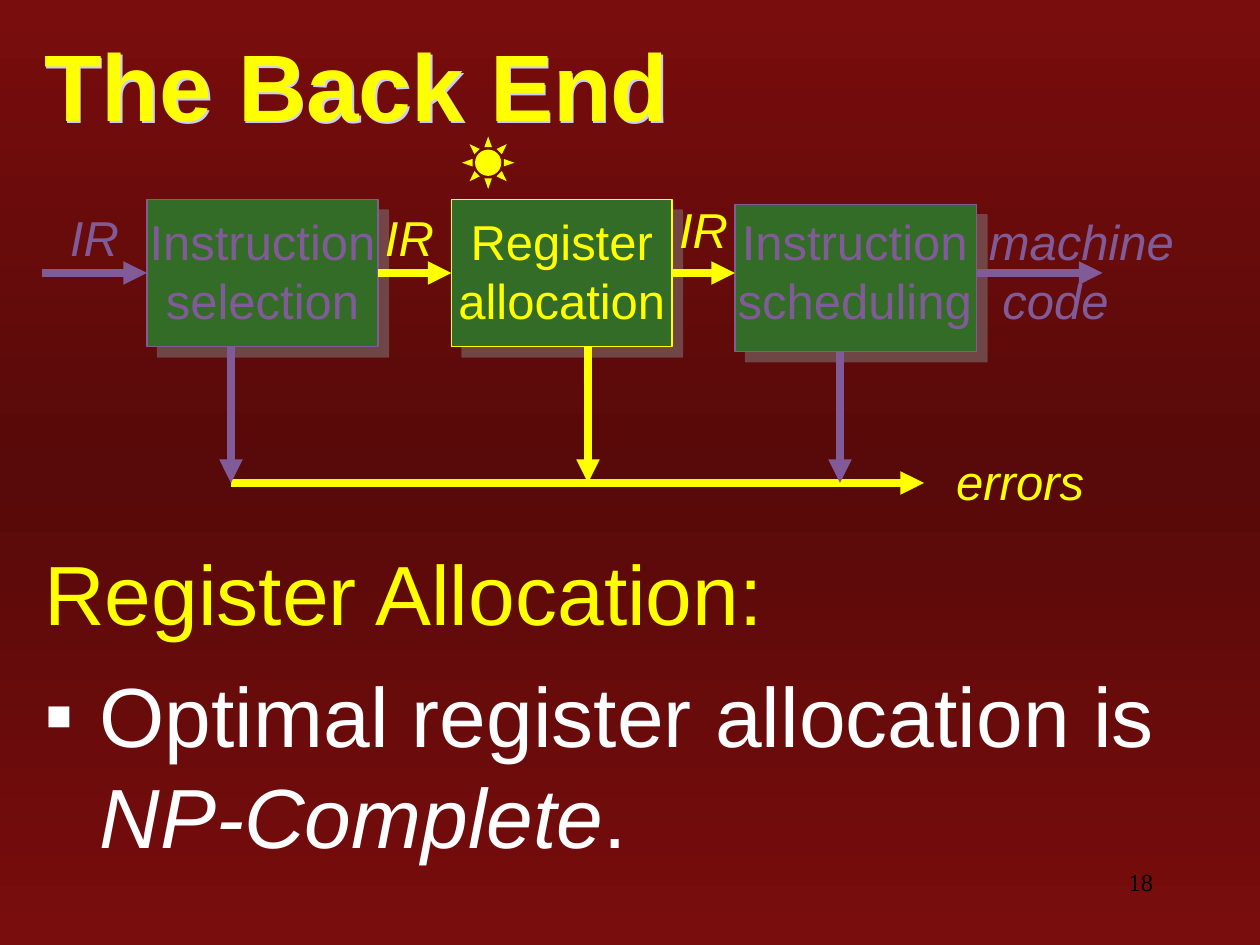
from pptx import Presentation, util as u
from pptx.dml.color import RGBColor
from pptx.enum import shapes as sh, text as tx
from pptx.oxml import parse_xml
from pptx.oxml.ns import nsdecls

GOLD, PLUM, GREEN, WHITE = "FFFF00", "805B97", "336C26", "FFFFFF"
LEFT, MID, RIGHT = tx.PP_ALIGN.LEFT, tx.PP_ALIGN.CENTER, tx.PP_ALIGN.RIGHT
NS = nsdecls("a")
hue = RGBColor.from_string

deck = Presentation()
deck.slide_width, deck.slide_height = u.Inches(10), u.Inches(7.5)
CELL = deck.slide_width / 120  # grid of 120 columns by 90 rows


def grid(*cells):
    return [round(c * CELL) for c in cells]


def add_run(para, words, size, color, font="Arial", **style):
    run = para.add_run()
    run.text = words
    run.font.size, run.font.name = u.Pt(size), font
    run.font.color.rgb = hue(color)
    for key, val in style.items():
        setattr(run.font, key, val)


slide = deck.slides.add_slide(deck.slide_layouts[1])
stops = "".join(
    f'<a:gs pos="{pos}"><a:srgbClr val="{color}"/></a:gs>'
    for pos, color in [(0, "790D0D"), (50000, "580909"), (100000, "790D0D")])
slide.background.fill.solid()
back = slide.background.fill._xPr
back.replace(back[0], parse_xml(
    f'<a:gradFill {NS} rotWithShape="1"><a:gsLst>{stops}</a:gsLst>'
    '<a:lin ang="5400000" scaled="0"/></a:gradFill>'))

# Title and body
title, body = slide.shapes.title, slide.placeholders[1]
title.left, title.top, title.width, title.height = grid(3, 3, 113, 10)
body.left, body.top, body.width, body.height = grid(3, 51, 117, 34)
for holder in (title, body):
    holder.text_frame.word_wrap = True
    holder.text_frame.auto_size = tx.MSO_AUTO_SIZE.NONE
title.text_frame.vertical_anchor = tx.MSO_ANCHOR.MIDDLE
head = title.text_frame.paragraphs[0]
head.alignment = LEFT
add_run(head, "The Back End", 54, GOLD, bold=True)

intro = body.text_frame.paragraphs[0]
point = body.text_frame.add_paragraph()
for para, marks in [
        (intro, ["<a:buNone {}/>"]),
        (point, ['<a:buClr {}><a:srgbClr val="FFFFFF"/></a:buClr>',
                 '<a:buFont {} typeface="Arial"/>', '<a:buChar {} char="▪"/>'])]:
    props = para._p.get_or_add_pPr()
    props.set("marL", str(u.Inches(0.44)))
    props.set("indent", str(u.Inches(-0.44)))
    for mark in marks:
        props.append(parse_xml(mark.format(NS)))
    para.alignment = LEFT
intro.space_before = u.Pt(0)
point.space_before = u.Pt(12)
add_run(intro, "Register Allocation:", 48, GOLD)
add_run(point, "Optimal register allocation is ", 48, WHITE)
add_run(point, "NP-Complete", 48, WHITE, italic=True)
add_run(point, ".", 48, WHITE)

# Sun above the current stage
sun = slide.shapes.add_shape(sh.MSO_SHAPE.SUN, *grid(44, 13, 5, 5))
sun.shadow.inherit = False
sun.fill.solid()
sun.fill.fore_color.rgb = hue(GOLD)
sun.line.fill.background()

# Stage boxes
shaded = [(title, 1.41, "CCCCFF", 100)]
for x, y, wide, color in [(14, 19, 22, PLUM), (43, 19, 21, GOLD), (70, 19.45, 23, PLUM)]:
    box = slide.shapes.add_shape(sh.MSO_SHAPE.RECTANGLE, *grid(x, y, wide, 14))
    box.fill.solid()
    box.fill.fore_color.rgb = hue(GREEN)
    box.line.color.rgb = hue(color)
    box.line.width = u.Pt(0.75)
    shaded.append((box, 8.5, "808080", 50))

for shape, dist, color, alpha in shaded:
    shape._element.spPr.append(parse_xml(
        f'<a:effectLst {NS}><a:outerShdw dist="{u.Pt(dist)}" dir="2700000">'
        f'<a:srgbClr val="{color}"><a:alpha val="{alpha * 1000}"/></a:srgbClr>'
        '</a:outerShdw></a:effectLst>'))

# Arrows: along the flow, to the errors, and down from each stage
FLOW, BASE, ERR = 26, 33, 46
for x1, y1, x2, y2, color in [
        (4, FLOW, 14, FLOW, PLUM), (93, FLOW, 105, FLOW, PLUM),
        (22, ERR, 88, ERR, GOLD),
        (22, BASE, 22, ERR, PLUM), (80, BASE + 0.45, 80, ERR, PLUM),
        (56, BASE, 56, ERR, GOLD),
        (36, FLOW, 43, FLOW, GOLD), (64, FLOW, 70, FLOW, GOLD)]:
    arrow = slide.shapes.add_connector(sh.MSO_CONNECTOR.STRAIGHT, *grid(x1, y1, x2, y2))
    arrow.line.color.rgb = hue(color)
    arrow.line.width = u.Pt(4.5)
    arrow.line._get_or_add_ln().append(parse_xml(f'<a:tailEnd {NS} type="triangle"/>'))
    arrow._element.spPr.append(parse_xml(f"<a:effectLst {NS}/>"))

# Labels: place, lines, colour, italic, alignment, line spacing
for place, lines, color, slant, align, gap in [
        ((12, 19.6, 26, 12.5), ["Instruction", "selection"], PLUM, False, MID, 1),
        ((41, 19.6, 25, 12.5), ["Register", "allocation"], GOLD, False, MID, 1),
        ((68.4, 19.6, 26, 12.5), ["Instruction", "scheduling"], PLUM, False, MID, 1),
        ((93, 19.6, 25.2, 12.5), ["machine", " code"], PLUM, True, LEFT, 1),
        ((3, 19.8, 12, 6.2), ["IR"], PLUM, True, MID, 0.9),
        ((33, 19.8, 12, 6.2), ["IR"], GOLD, True, MID, 0.9),
        ((61, 19, 12, 6.2), ["IR"], GOLD, True, MID, 0.9),
        ((87, 43, 20.3, 6.2), ["errors"], GOLD, True, MID, 0.9)]:
    frame = slide.shapes.add_textbox(*grid(*place)).text_frame
    frame.word_wrap = True
    frame.auto_size = tx.MSO_AUTO_SIZE.SHAPE_TO_FIT_TEXT
    for i, words in enumerate(lines):
        para = frame.add_paragraph() if i else frame.paragraphs[0]
        para.alignment, para.line_spacing = align, gap
        add_run(para, words, 28, color, italic=slant)

# Page number
page = slide.shapes.add_textbox(*grid(86, 82, 25, 6)).text_frame
page.word_wrap = True
page.paragraphs[0].alignment = RIGHT
add_run(page.paragraphs[0], "18", 14, "000000", "Times New Roman")

deck.save("out.pptx")
